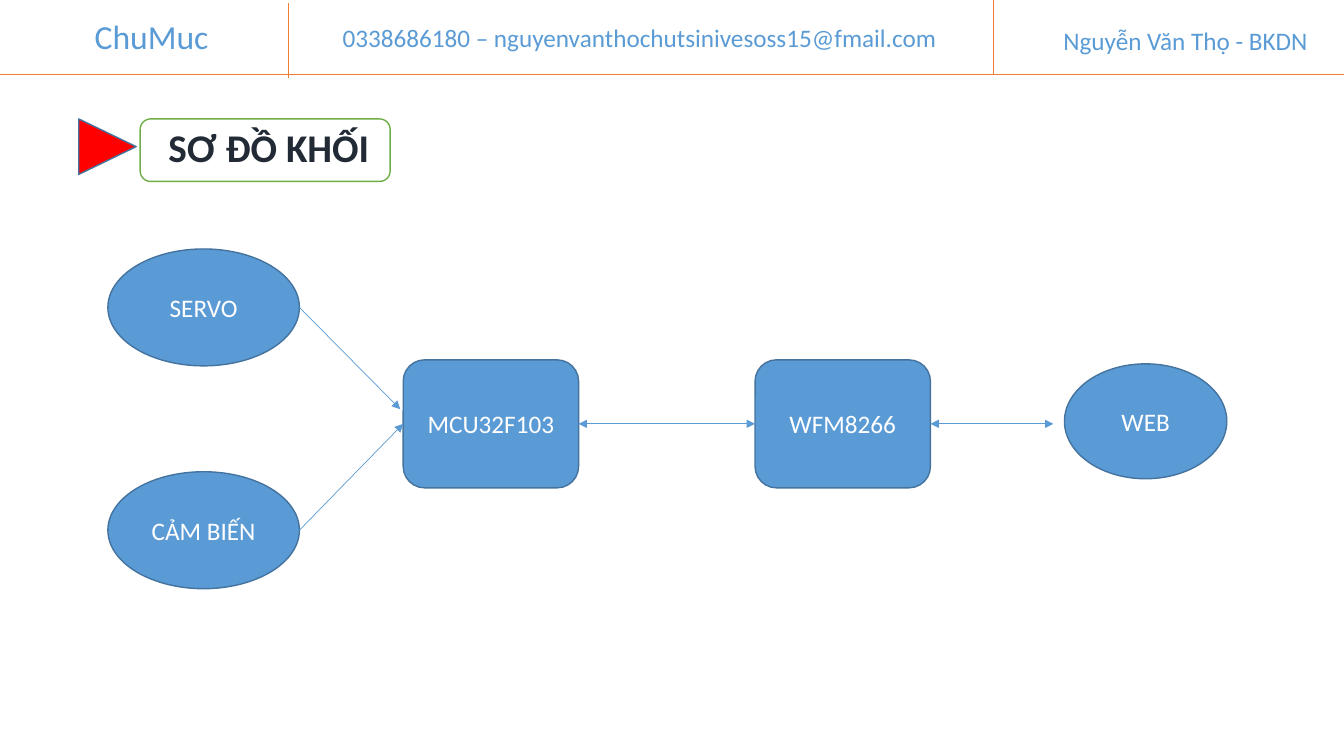
from dataclasses import dataclass

from lxml import etree
from pptx import Presentation
from pptx import util as u
from pptx.dml.color import RGBColor
from pptx.enum import shapes, text
from pptx.oxml.ns import qn
from pptx.shapes.autoshape import Shape
from pptx.slide import Slide
from pptx.text.text import TextFrame

WIDTH, HEIGHT = u.Inches(13.333), u.Inches(7.5)
Point = tuple[float, float]
Kind = shapes.MSO_SHAPE


@dataclass(frozen=True)
class Theme:
    font: str = "Calibri"
    blue: str = "5B9BD5"
    outline: str = "43739E"
    orange: str = "ED7D31"
    green: str = "70AD47"
    red: str = "FF0000"
    dark: str = "222A35"
    white: str = "FFFFFF"
    body: int = 18
    section: int = 24
    heading: int = 28
    thin: float = 0.5
    border: float = 1


THEME = Theme()


@dataclass(frozen=True)
class Box:
    """A rectangle in percent of the slide's width and height."""
    left: float
    top: float
    width: float
    height: float

    @property
    def west(self) -> Point:
        return self.left, self.top + self.height / 2

    @property
    def east(self) -> Point:
        return self.left + self.width, self.top + self.height / 2

    def lengths(self) -> dict[str, int]:
        return {"left": across(self.left), "top": down(self.top),
                "width": across(self.width), "height": down(self.height)}


@dataclass(frozen=True)
class Block:
    label: str
    kind: Kind
    box: Box


@dataclass(frozen=True)
class Label:
    wording: str
    box: Box
    size: int = THEME.body


@dataclass(frozen=True)
class Line:
    start: Point
    end: Point
    color: str = THEME.blue
    heads: tuple[str, ...] = ()


def across(percent: float) -> int:
    return round(WIDTH * percent / 100)


def down(percent: float) -> int:
    return round(HEIGHT * percent / 100)


def rgb(code: str) -> RGBColor:
    return RGBColor.from_string(code)


def write(frame: TextFrame, wording: str, size: int, color: str, bold: bool = False,
          align: text.PP_ALIGN = text.PP_ALIGN.LEFT,
          anchor: text.MSO_ANCHOR = text.MSO_ANCHOR.TOP) -> None:
    for name, value in {"word_wrap": True, "vertical_anchor": anchor,
                        "auto_size": text.MSO_AUTO_SIZE.NONE}.items():
        setattr(frame, name, value)
    paragraph = frame.paragraphs[0]
    paragraph.alignment = align
    run = paragraph.add_run()
    run.text = wording
    for name, value in {"name": THEME.font, "size": u.Pt(size), "bold": bold}.items():
        setattr(run.font, name, value)
    run.font.color.rgb = rgb(color)


def draw_shape(slide: Slide, kind: Kind, box: Box, fill: str, outline: str) -> Shape:
    shape = slide.shapes.add_shape(kind, **box.lengths())
    shape.shadow.inherit = False
    shape.fill.solid()
    shape.fill.fore_color.rgb = rgb(fill)
    shape.line.color.rgb = rgb(outline)
    shape.line.width = u.Pt(THEME.border)
    return shape


def draw_block(slide: Slide, block: Block) -> None:
    shape = draw_shape(slide, block.kind, block.box, THEME.blue, THEME.outline)
    write(shape.text_frame, block.label, THEME.body, THEME.white,
          align=text.PP_ALIGN.CENTER, anchor=text.MSO_ANCHOR.MIDDLE)


def draw_label(slide: Slide, label: Label) -> None:
    frame = slide.shapes.add_textbox(**label.box.lengths()).text_frame
    write(frame, label.wording, label.size, THEME.blue)


def draw_line(slide: Slide, line: Line) -> None:
    (x1, y1), (x2, y2) = line.start, line.end
    connector = slide.shapes.add_connector(
        shapes.MSO_CONNECTOR.STRAIGHT, across(x1), down(y1), across(x2), down(y2))
    connector.line.color.rgb = rgb(line.color)
    connector.line.width = u.Pt(THEME.thin)
    stroke = connector.line._get_or_add_ln()
    for end in line.heads:
        etree.SubElement(stroke, qn(f"a:{end}"), type="triangle")
    etree.SubElement(connector._element.spPr, qn("a:effectLst"))


def draw_heading(slide: Slide, wording: str) -> None:
    """Place the title on its frame, beside the red marker."""
    draw_shape(slide, Kind.ROUNDED_RECTANGLE, Box(10.43, 15.73, 18.6, 8.27),
               THEME.white, THEME.green)
    marker = draw_shape(slide, Kind.ISOSCELES_TRIANGLE, Box(5.93, 15.6, 4.13, 7.6),
                        THEME.red, THEME.outline)
    marker.rotation = 90
    title = slide.shapes.title
    for name, value in Box(11.78, 15.6, 18.23, 7.6).lengths().items():
        setattr(title, name, value)
    write(title.text_frame, wording, THEME.heading, THEME.dark, bold=True)
    slide.shapes._spTree.append(title._element)  # in front of its frame


RULE_Y = 9.87
HEADER_LINES = (
    Line((0, RULE_Y), (100, RULE_Y), THEME.orange),
    Line((21.45, 0.4), (21.45, RULE_Y + 0.4), THEME.orange),
    Line((73.95, 0), (73.95, RULE_Y), THEME.orange),
)
HEADER_LABELS = (
    Label("ChuMuc", Box(6.3, 1.47, 11.63, 6.67), THEME.section),
    Label("Nguyễn Văn Thọ - BKDN", Box(78.38, 2.67, 21.6, 5.33)),
    Label("0338686180 – nguyenvanthochutsinivesoss15@fmail.com",
          Box(24.75, 2.27, 50.55, 5.33)),
)

CHIP_TOP, CHIP_WIDTH, CHIP_HEIGHT = 47.6, 13.05, 16.93
DEVICE_LEFT, DEVICE_WIDTH, DEVICE_HEIGHT = 8.03, 14.25, 15.47
controller = Block("MCU32F103", Kind.ROUNDED_RECTANGLE,
                   Box(30, CHIP_TOP, CHIP_WIDTH, CHIP_HEIGHT))
wifi = Block("WFM8266", Kind.ROUNDED_RECTANGLE,
             Box(56.18, CHIP_TOP, CHIP_WIDTH, CHIP_HEIGHT))
web = Block("WEB", Kind.OVAL, Box(79.2, 48.13, 12.08, 15.2))
servo = Block("SERVO", Kind.OVAL, Box(DEVICE_LEFT, 32.93, DEVICE_WIDTH, DEVICE_HEIGHT))
sensor = Block("CẢM BIẾN", Kind.OVAL,
               Box(DEVICE_LEFT, 62.4, DEVICE_WIDTH, DEVICE_HEIGHT))
BLOCKS = (controller, wifi, web, servo, sensor)

ONE_WAY, TWO_WAY = ("tailEnd",), ("headEnd", "tailEnd")
LINKS = (
    Line(servo.box.east, (29.78, 54.13), heads=ONE_WAY),
    Line(sensor.box.east, controller.box.west, heads=ONE_WAY),
    Line(controller.box.east, wifi.box.west, heads=TWO_WAY),
    Line(wifi.box.east, (78.38, wifi.box.east[1]), heads=TWO_WAY),
)


def main() -> None:
    deck = Presentation()
    deck.slide_width, deck.slide_height = WIDTH, HEIGHT
    slide = deck.slides.add_slide(deck.slide_layouts.get_by_name("Title Only"))
    for line in HEADER_LINES:
        draw_line(slide, line)
    for label in HEADER_LABELS:
        draw_label(slide, label)
    draw_heading(slide, "SƠ ĐỒ KHỐI")
    for block in BLOCKS:
        draw_block(slide, block)
    for link in LINKS:
        draw_line(slide, link)
    deck.save("out.pptx")


if __name__ == "__main__":
    main()
